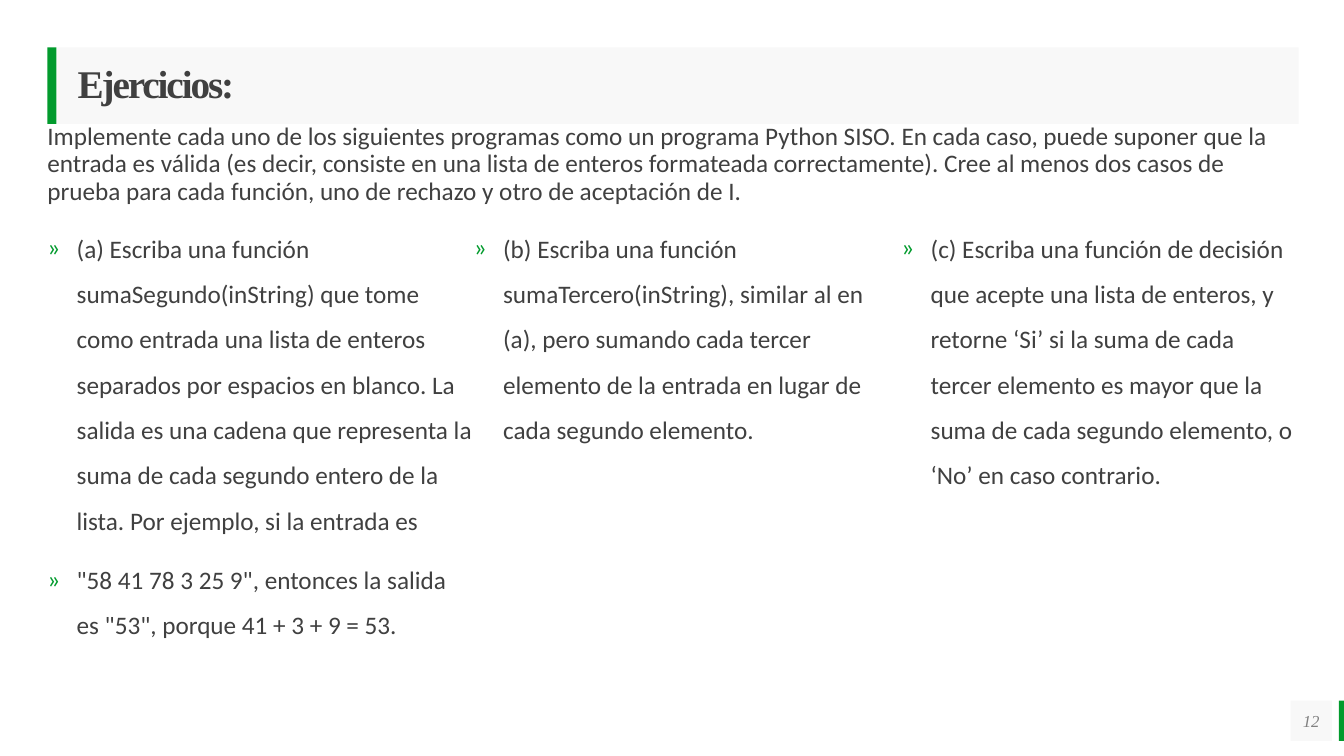
"""Build the exercises slide with a title bar, an introduction and three columns."""
from lxml.etree import SubElement
from pptx import Presentation
from pptx.dml.color import RGBColor
from pptx.enum.shapes import MSO_SHAPE
from pptx.enum.text import MSO_ANCHOR, MSO_AUTO_SIZE, PP_ALIGN
from pptx.oxml.ns import qn
from pptx.util import Inches, Pt

GREEN = RGBColor(0x02, 0x9B, 0x2D)
PALE = RGBColor(0xF2, 0xF2, 0xF2)
DARK = RGBColor(0x40, 0x40, 0x40)
GRAY = RGBColor(0x80, 0x80, 0x80)

TITLE_FONT = {"name": "Times New Roman", "size": Pt(28), "bold": True}
BODY_FONT = {"name": "Calibri", "size": Pt(18), "bold": False}
NUMBER_FONT = {"name": "Times New Roman", "size": Pt(12), "italic": True}

INTRO = (
    "Implemente cada uno de los siguientes programas como un programa Python SISO. "
    "En cada caso, puede suponer que la entrada es válida (es decir, consiste en una "
    "lista de enteros formateada correctamente). Cree al menos dos casos de prueba "
    "para cada función, uno de rechazo y otro de aceptación de I."
)
COLUMNS = [
    ((0.47, 2.16, 4.23, 5.04), [
        "(a) Escriba una función sumaSegundo(inString) que tome como entrada una lista "
        "de enteros separados por espacios en blanco. La salida es una cadena que "
        "representa la suma de cada segundo entero de la lista. Por ejemplo, si la "
        "entrada es",
        '"58 41 78 3 25 9", entonces la salida es "53", porque 41 + 3 + 9 = 53.',
    ]),
    ((4.7, 2.16, 3.94, 4.54), [
        "(b) Escriba una función sumaTercero(inString), similar al en (a), pero sumando "
        "cada tercer elemento de la entrada en lugar de cada segundo elemento.",
    ]),
    ((8.94, 2.16, 3.94, 4.54), [
        "(c) Escriba una función de decisión que acepte una lista de enteros, y retorne "
        "‘Si’ si la suma de cada tercer elemento es mayor que la suma de cada segundo "
        "elemento, o ‘No’ en caso contrario.",
    ]),
]


def set_all(obj, values):
    for name, value in values.items():
        setattr(obj, name, value)


def place(sp, box):
    set_all(sp, dict(zip(("left", "top", "width", "height"), map(Inches, box))))


def paint(sp, color, opacity=None):
    sp.fill.solid()
    sp.fill.fore_color.rgb = color
    if opacity is not None:
        rgb = sp._element.spPr.find(qn("a:solidFill"))[0]
        SubElement(rgb, qn("a:alpha"), val=str(opacity * 1000))


def add_rect(shapes, box, color, opacity=None):
    sp = shapes.add_shape(MSO_SHAPE.RECTANGLE, *map(Inches, box))
    sp.shadow.inherit = False
    sp.line.fill.background()
    paint(sp, color, opacity)
    return sp


def set_bullet(p, bulleted):
    pPr = p._p.get_or_add_pPr()
    indent = Inches(0.29) if bulleted else 0
    pPr.set("marL", str(indent))
    pPr.set("indent", str(-indent))
    if bulleted:
        SubElement(SubElement(pPr, qn("a:buClr")), qn("a:srgbClr"), val=str(GREEN))
        SubElement(pPr, qn("a:buFont"), typeface="Calibri")
        SubElement(pPr, qn("a:buChar"), char="»")
    else:
        SubElement(pPr, qn("a:buNone"))


def write(sp, texts, font, color=DARK, anchor=MSO_ANCHOR.TOP, align=PP_ALIGN.LEFT,
          spacing=0.9, bulleted=False, inset=0):
    tf = sp.text_frame
    set_all(tf, {"word_wrap": True, "auto_size": MSO_AUTO_SIZE.NONE,
                 "vertical_anchor": anchor, "margin_left": Inches(inset),
                 "margin_top": 0, "margin_right": 0, "margin_bottom": 0})
    for i, text in enumerate(texts):
        p = tf.add_paragraph() if i else tf.paragraphs[0]
        set_bullet(p, bulleted)
        set_all(p, {"alignment": align, "line_spacing": spacing,
                    "space_before": Pt(10 if i else 0)})
        r = p.add_run()
        r.text = text
        set_all(r.font, font)
        r.font.color.rgb = color


def add_title(sp):
    place(sp, (0.57, 0.47, 12.31, 0.76))
    paint(sp, PALE, 50)
    write(sp, ["Ejercicios:"], TITLE_FONT, anchor=MSO_ANCHOR.MIDDLE, inset=0.2)
    r = sp.text_frame.paragraphs[0].runs[0]
    r._r.get_or_add_rPr().set("spc", "-150")


def add_page_number(shapes):
    sp = add_rect(shapes, (12.8, 6.95, 0.41, 0.4), PALE, 50)
    write(sp, ["12"], NUMBER_FONT, GRAY, MSO_ANCHOR.MIDDLE, PP_ALIGN.CENTER, 1.0)


def main():
    prs = Presentation()
    prs.slide_width, prs.slide_height = Inches(13.33), Inches(7.5)
    s = prs.slides.add_slide(prs.slide_layouts.get_by_name("Comparison"))
    title, intro, *columns = s.placeholders

    add_rect(s.shapes, (13.28, 6.95, 0.05, 0.4), GREEN)
    add_rect(s.shapes, (0.47, 0.47, 0.09, 0.76), GREEN)
    add_title(title)
    place(intro, (0.47, 1.23, 12.4, 0.42))
    write(intro, [INTRO], BODY_FONT)
    for sp, (box, texts) in zip(columns, COLUMNS):
        place(sp, box)
        write(sp, texts, BODY_FONT, spacing=1.5, bulleted=True)
    add_page_number(s.shapes)

    prs.save("out.pptx")


if __name__ == "__main__":
    main()
